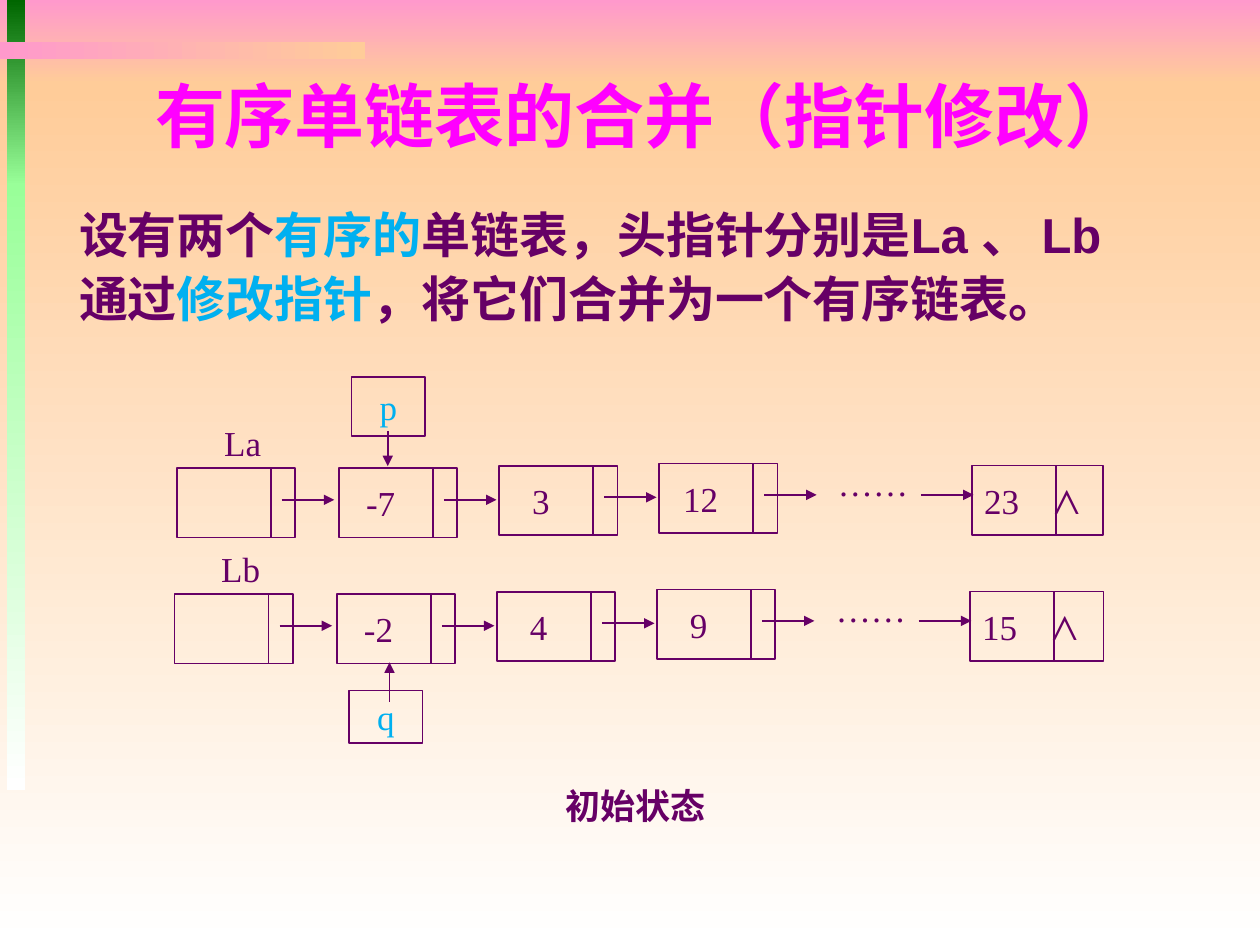
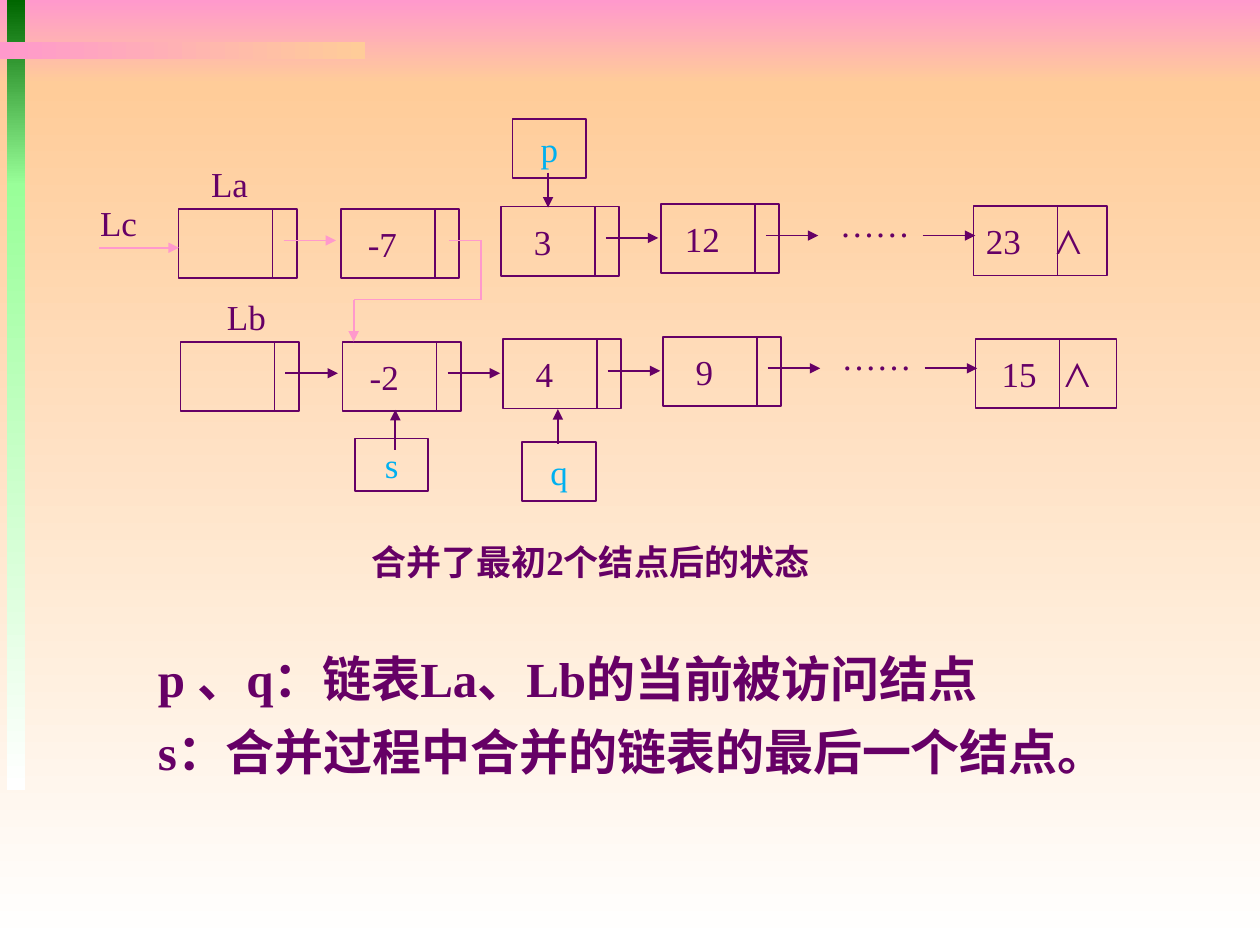
from itertools import pairwise

from lxml import etree
from pptx import Presentation
from pptx.dml.color import RGBColor
from pptx.enum import shapes, text
from pptx.oxml import ns
from pptx.util import Pt

PURPLE, BLUE, PINK, PEACH = "660066", "00B0F0", "FF99CC", "FFCC99"
MAGENTA, GREEN, MINT, WHITE = "FF00FF", "006600", "99FF99", "FFFFFF"
SERIF, SANS, CHINESE = "Times New Roman", "Arial", "Noto Sans CJK SC"
LEFT, CENTER = text.PP_ALIGN.LEFT, text.PP_ALIGN.CENTER
TOP, MIDDLE = text.MSO_ANCHOR.TOP, text.MSO_ANCHOR.MIDDLE
rgb = RGBColor.from_string


def add_text(slide, box, paragraphs, shape=None, outline=None, size=20, font=SERIF,
             color=PURPLE, bold=False, align=CENTER, anchor=MIDDLE,
             insets=(0, 0, 0, 0), spacing=None, tab=None):
    """Write text in a box; a paragraph is a string or a list of (text, colour) runs."""
    box = [Pt(length) for length in box]
    if shape is not None:
        shape.left, shape.top, shape.width, shape.height = box
    elif outline:
        shape = slide.shapes.add_shape(shapes.MSO_SHAPE.RECTANGLE, *box)
        shape.shadow.inherit = False
        shape.fill.background()
        shape.line.color.rgb = rgb(outline)
        shape.line.width = Pt(1)
    else:
        shape = slide.shapes.add_textbox(*box)
    frame = shape.text_frame
    frame.auto_size = text.MSO_AUTO_SIZE.NONE
    frame.word_wrap = True
    frame.vertical_anchor = anchor
    (frame.margin_left, frame.margin_top,
     frame.margin_right, frame.margin_bottom) = [Pt(inset) for inset in insets]
    for index, runs in enumerate(paragraphs):
        paragraph = frame.add_paragraph() if index else frame.paragraphs[0]
        paragraph.alignment = align
        if spacing:
            paragraph.line_spacing = spacing
        if tab:
            stops = etree.SubElement(paragraph._p.get_or_add_pPr(), ns.qn("a:tabLst"))
            etree.SubElement(stops, ns.qn("a:tab"), pos=str(Pt(tab)), algn="l")
        for content, run_color in [(runs, color)] if isinstance(runs, str) else runs:
            run = paragraph.add_run()
            run.text = content
            run.font.size = Pt(size)
            run.font.bold = bold
            run.font.name = font
            run.font.color.rgb = rgb(run_color)
            etree.SubElement(run._r.get_or_add_rPr(), ns.qn("a:ea"), typeface=CHINESE)
    return shape


def add_line(slide, start, end, color=PURPLE, arrow=True):
    points = [Pt(length) for length in (*start, *end)]
    line = slide.shapes.add_connector(shapes.MSO_CONNECTOR.STRAIGHT, *points)
    line.line.color.rgb = rgb(color)
    line.line.width = Pt(1)
    if arrow:
        etree.SubElement(line.line._get_or_add_ln(), ns.qn("a:tailEnd"), type="triangle")
    etree.SubElement(line._element.spPr, ns.qn("a:effectLst"))


presentation = Presentation()
presentation.slide_width, presentation.slide_height = Pt(720), Pt(540)
start_slide = presentation.slides.add_slide(presentation.slide_layouts[5])
merge_slide = presentation.slides.add_slide(presentation.slide_layouts[6])

# Background bands, moved to the master so that both slides share them
bands = [
    ((0, 0, 720, 48), PINK, PEACH, 270),
    ((0, 48, 720, 492), PEACH, WHITE, 270),
    ((4, 0, 10.3, 106), GREEN, MINT, 270),
    ((4, 105, 10.3, 346.5), MINT, WHITE, 270),
    ((0, 24, 208.5, 9.8), PINK, PEACH, 0),
]
for order, (box, first, last, angle) in enumerate(bands):
    band = start_slide.shapes.add_shape(
        shapes.MSO_SHAPE.RECTANGLE, *[Pt(length) for length in box])
    band.shadow.inherit = False
    band.line.fill.background()
    band.fill.gradient()
    band.fill.gradient_angle = angle
    for stop, color in zip(band.fill.gradient_stops, (first, last)):
        stop.color.rgb = rgb(color)
    presentation.slide_master.shapes._spTree.insert(2 + order, band._element)

# Title and introduction
add_text(start_slide, (81.4, 33, 589, 54), ["有序单链表的合并（指针修改）"],
         shape=start_slide.shapes.title, size=40, font=CHINESE, color=MAGENTA,
         bold=True, align=LEFT, anchor=TOP, insets=(7.2, 3.6, 7.2, 3.6), spacing=1.1)
introduction = [
    [("设有两个", PURPLE), ("有序的", BLUE),
     ("单链表，头指针分别是La 、 Lb", PURPLE)],
    [("通过", PURPLE), ("修改指针", BLUE),
     ("，将它们合并为一个有序链表。", PURPLE)],
]
add_text(start_slide, (12.2, 107.3, 690, 95), introduction, size=28, font=SANS, bold=True,
         align=LEFT, anchor=TOP, insets=(33, 6, 0, 0), spacing=Pt(37))

# Linked lists: name, label width, head corner, values, link colours,
# end value, end width, end inset, end tab
NODE_WIDTH, NODE_HEIGHT, DIVIDER = 67.7, 39.6, 53.7
NODE_OFFSETS = [(0, 0), (92.7, 0), (184.2, -1.4), (275.6, -2.8)]
END_OFFSET = (454.3, -1.6)
all_dark = [PURPLE] * 4
linked_lists = [
    (start_slide, "La", 66, (101, 267.6), ["-7", "3", "12"], all_dark, "23", 75.2, 7.2, 40),
    (start_slide, "Lb", 66, (99.8, 339.6), ["-2", "4", "9"], all_dark, "15", 76.5, 7.2, 40),
    (merge_slide, "La", 49, (102, 119.4), ["-7", "3", "12"],
     [PINK, None, PURPLE, PURPLE], "23", 76.3, 7.2, 40),
    (merge_slide, "Lb", 66, (103.1, 195.3), ["-2", "4", "9"], all_dark, "15", 80.6, 15, 36),
]
for (slide, name, label_width, (left, top), values, links,
     end_value, end_width, end_inset, end_tab) in linked_lists:
    add_text(slide, (left + 4.7, top - 32.7, label_width, 36), [name])
    for (dx, dy), value, link in zip(NODE_OFFSETS, ["", *values], links):
        x, y = left + dx, top + dy
        add_text(slide, (x, y, NODE_WIDTH, NODE_HEIGHT), [value] if value else [],
                 outline=PURPLE, insets=(0, 0, 20, 0))
        add_line(slide, (x + DIVIDER, y), (x + DIVIDER, y + NODE_HEIGHT), arrow=False)
        if link:
            add_line(slide, (x + 60, y + 18), (x + 90, y + 18), link)

    add_text(slide, (left + 368.6, top - 11.6, NODE_WIDTH, NODE_HEIGHT), ["……"],
             insets=(0, 0, 9, 0))
    add_line(slide, (left + 425.2, top + 15.2), (left + 455.3, top + 15.2))
    x, y = left + END_OFFSET[0], top + END_OFFSET[1]
    add_text(slide, (x, y, end_width, NODE_HEIGHT), [f"{end_value}\t⋀"], outline=PURPLE,
             align=LEFT, insets=(end_inset, 0, 0, 0), tab=end_tab)
    add_line(slide, (x + 48, y), (x + 48, y + NODE_HEIGHT), arrow=False)

# Pointer boxes: name, corner, height, arrow x, arrow start and end
pointers = [
    (start_slide, "p", (200.9, 215.3), 33.8, 221.6, 246.2, 266.4),
    (start_slide, "q", (199.5, 394.6), 30.2, 222.6, 401, 378.5),
    (merge_slide, "s", (202.8, 250.6), 30.2, 225.9, 257, 234.2),
    (merge_slide, "q", (298.5, 252.5), 33.8, 318.8, 253.5, 233.8),
    (merge_slide, "p", (292.9, 67.9), 33.8, 313.2, 98.6, 118.6),
]
for slide, name, corner, height, x, start_y, end_y in pointers:
    add_text(slide, (*corner, 42, height), [name], outline=PURPLE, color=BLUE)
    add_line(slide, (x, start_y), (x, end_y))

# Merged list head and the link from -7 to -2
add_text(merge_slide, (46.8, 112.3, 41.8, 30.2), ["Lc"])
add_line(merge_slide, (56.7, 141.6), (102.2, 141.6), PINK)
merge_path = [(256.5, 137.4), (274.9, 137.4), (274.9, 171.2), (202.1, 171.2), (202.1, 195.2)]
for start, end in pairwise(merge_path):
    add_line(merge_slide, start, end, PINK, arrow=end == merge_path[-1])

# Captions and legend
add_text(start_slide, (141.8, 442.8, 442.8, 35.3), ["初始状态"], bold=True)
add_text(merge_slide, (127.4, 303.8, 419.8, 33.8), ["合并了最初2个结点后的状态"], bold=True)
legend = ["p 、q：链表La、Lb的当前被访问结点", "s：合并过程中合并的链表的最后一个结点。"]
add_text(merge_slide, (10.8, 360.7, 690, 130), legend, size=28, bold=True, align=LEFT,
         anchor=TOP, insets=(79.5, 2, 0, 0), spacing=Pt(41.7))

presentation.save("out.pptx")
